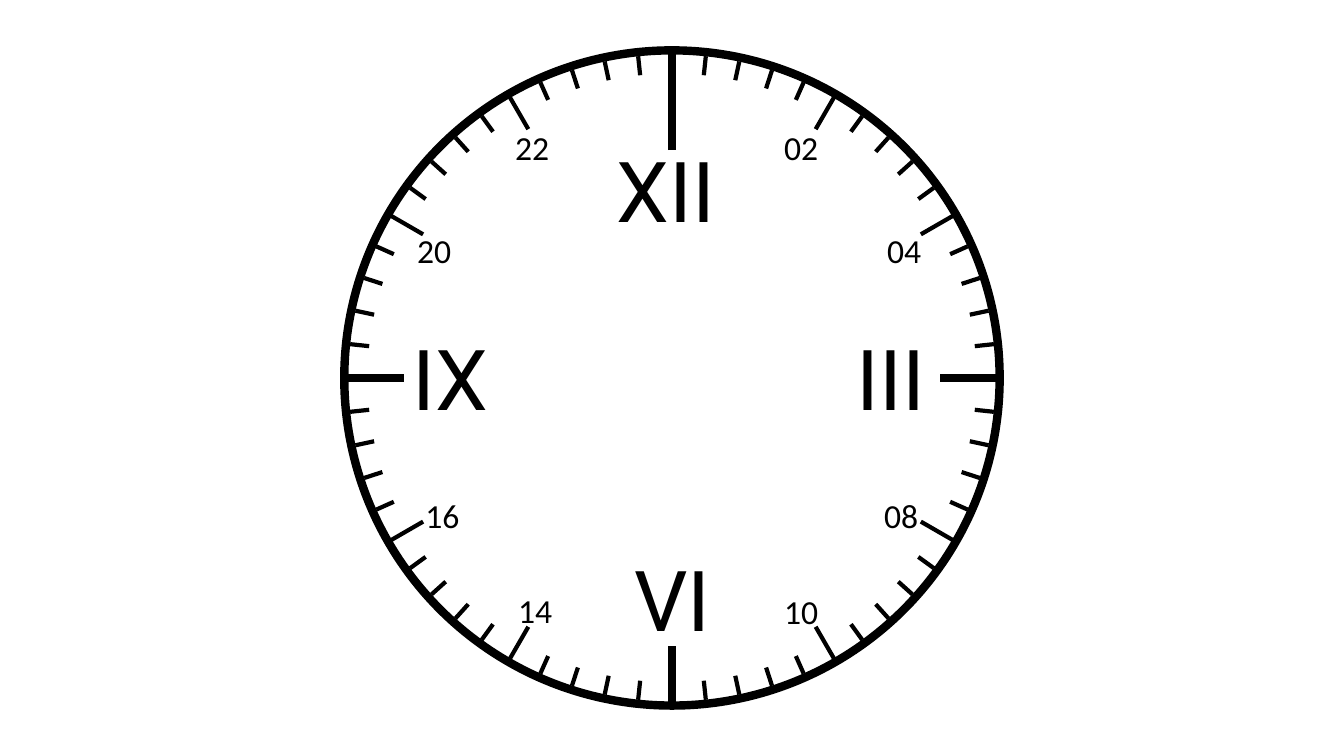
from math import cos, radians, sin

from lxml.etree import SubElement
from pptx import Presentation
from pptx.dml.color import RGBColor
from pptx.enum.shapes import MSO_CONNECTOR, MSO_SHAPE
from pptx.enum.text import MSO_AUTO_SIZE
from pptx.oxml.ns import qn
from pptx.util import Inches, Pt

THEME = {
    "ink": RGBColor(0, 0, 0),
    "roman": ("Roboto", Pt(60)),
    "number": ("Calibri", Pt(24)),
    "heavy": Pt(6),
    "fine": Pt(3),
}
WIDTH, HEIGHT = 13.33, 7.5
CX, CY = WIDTH / 2, HEIGHT / 2
RADIUS = 3.25


def add_tick(shapes, minute, inner, outer, weight):
    """Draw a radial line at a minute of the dial, between two radii."""
    angle = radians(6 * minute)
    ends = [Inches(v) for r in (inner, outer)
            for v in (CX + r * sin(angle), CY - r * cos(angle))]
    line = shapes.add_connector(MSO_CONNECTOR.STRAIGHT, *ends)
    line.line.color.rgb = THEME["ink"]
    line.line.width = weight
    SubElement(line._element.spPr, qn("a:effectLst"))


def add_label(shapes, text, left, top, width, height, style):
    box = shapes.add_textbox(*map(Inches, (left, top, width, height)))
    tf = box.text_frame
    tf.word_wrap = False
    tf.auto_size = MSO_AUTO_SIZE.SHAPE_TO_FIT_TEXT
    p = tf.paragraphs[0]
    p.text = text
    p.font.name, p.font.size = THEME[style]
    p.font.color.rgb = THEME["ink"]


prs = Presentation()
prs.slide_width, prs.slide_height = Inches(WIDTH), Inches(HEIGHT)
s = prs.slides.add_slide(prs.slide_layouts[6])

# Dial
dial = s.shapes.add_shape(
    MSO_SHAPE.OVAL, Inches(CX - RADIUS), Inches(CY - RADIUS),
    Inches(2 * RADIUS), Inches(2 * RADIUS))
dial.shadow.inherit = False
dial.fill.background()
dial.line.color.rgb = THEME["ink"]
dial.line.width = THEME["heavy"]

# Ticks: the one at twelve is longer than the other quarters
quarters, hours, minutes = (s.shapes.add_group_shape().shapes for _ in range(3))
for minute in range(60):
    if minute % 15 == 0:
        inner = 2.66 if minute else 2.26
        add_tick(quarters, minute, inner, RADIUS, THEME["heavy"])
    elif minute % 5 == 0:
        add_tick(hours, minute, 2.85, 3.24, THEME["fine"])
    else:
        add_tick(minutes, minute, 3.02, 3.21, THEME["fine"])

# Roman numerals: text, left, top, width
numerals = s.shapes.add_group_shape().shapes
for text, left, top, width in [
    ("XII", 6.02, 1.32, 1.3),
    ("III", 8.4, 3.19, 0.98),
    ("VI", 6.19, 5.38, 0.98),
    ("IX", 3.99, 3.19, 1.05),
]:
    add_label(numerals, text, left, top, width, 1.11, "roman")

# Small numbers: text, left, top
for text, left, top in [
    ("02", 7.68, 1.21), ("04", 8.7, 2.23),
    ("08", 8.67, 4.86), ("10", 7.68, 5.81),
    ("14", 5.04, 5.8), ("16", 4.12, 4.86),
    ("20", 4.04, 2.23), ("22", 5.01, 1.21),
]:
    add_label(s.shapes, text, left, top, 0.54, 0.5, "number")

prs.save("out.pptx")
